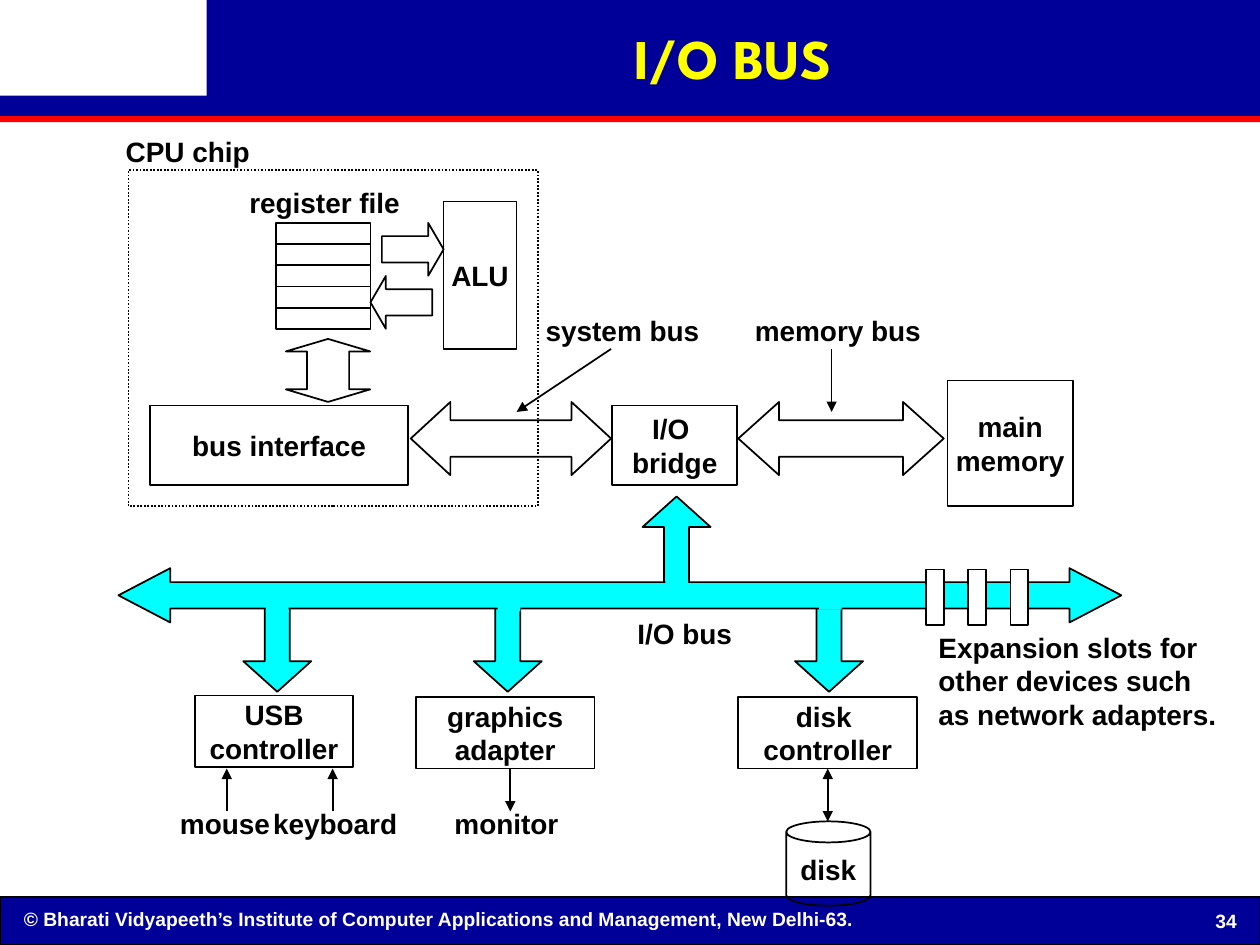
"""Build the I/O bus slide."""
from dataclasses import dataclass
from typing import Optional

import pptx
import pptx.dml.color
import pptx.enum.dml
import pptx.enum.shapes
import pptx.enum.text
import pptx.oxml
import pptx.oxml.ns
import pptx.util

Pt = pptx.util.Pt
Color = pptx.dml.color.RGBColor
Kind = pptx.enum.shapes.MSO_SHAPE
Align = pptx.enum.text.PP_ALIGN
Anchor = pptx.enum.text.MSO_ANCHOR

NAVY = Color(0x00, 0x00, 0x99)
RED = Color(0xFF, 0x00, 0x00)
CYAN = Color(0x00, 0xFF, 0xFF)
GOLD = Color(0xFF, 0xFF, 0x00)
WHITE = Color(0xFF, 0xFF, 0xFF)
BLACK = Color(0x00, 0x00, 0x00)

BODY = {"name": "Arial", "size": Pt(16), "bold": True}
SMALL = {**BODY, "size": Pt(11)}
HEAD = {"name": "League Spartan", "size": Pt(32), "bold": True}
FRAME = {"word_wrap": False, "vertical_anchor": Anchor.MIDDLE}
SLACK = 4


@dataclass
class Part:
    left: float
    top: float
    width: float
    height: float
    text: str = ""
    kind: Kind = Kind.RECTANGLE
    fill: Optional[Color] = None
    line: Optional[float] = 1
    adjust: Optional[dict] = None


@dataclass
class Wire:
    start: tuple
    end: tuple
    head: bool = False
    tail: bool = False


def assign(item, values: dict) -> None:
    for name, value in values.items():
        setattr(item, name, value)


def write(frame, text: str, font: dict, color: Color, align=Align.CENTER, form=FRAME) -> None:
    frame.text = text
    assign(frame, form)
    for para in frame.paragraphs:
        para.alignment = align
        assign(para.font, font)
        para.font.color.rgb = color


def draw(slide, part: Part):
    shape = slide.shapes.add_shape(
        part.kind, Pt(part.left), Pt(part.top), Pt(part.width), Pt(part.height))
    shape.shadow.inherit = False
    if part.fill is None:
        shape.fill.background()
    else:
        shape.fill.solid()
        shape.fill.fore_color.rgb = part.fill
    if part.line is None:
        shape.line.fill.background()
    else:
        shape.line.color.rgb = BLACK
        shape.line.width = Pt(part.line)
    if part.adjust:
        guides = [(name, round(value * 100000)) for name, value in part.adjust.items()]
        shape.element.spPr.prstGeom.rewrite_guides(guides)
    if part.text:
        write(shape.text_frame, part.text, BODY, BLACK)
    return shape


def label(slide, left: float, top: float, width: float, height: float, text: str,
          font=BODY, color=BLACK, align=Align.CENTER) -> None:
    shift = SLACK if align == Align.CENTER else 0
    box = slide.shapes.add_textbox(
        Pt(left - shift), Pt(top), Pt(width + 2 * SLACK), Pt(height))
    write(box.text_frame, text, font, color, align)


def link(slide, wire: Wire):
    line = slide.shapes.add_connector(
        pptx.enum.shapes.MSO_CONNECTOR.STRAIGHT, *map(Pt, wire.start + wire.end))
    line.line.color.rgb = BLACK
    line.line.width = Pt(1)
    stroke = line.line._get_or_add_ln()
    for tag, shown in (("headEnd", wire.head), ("tailEnd", wire.tail)):
        if shown:
            stroke.append(pptx.oxml.parse_xml(
                f'<a:{tag} {pptx.oxml.ns.nsdecls("a")} type="triangle"/>'))
    line.element.spPr.append(pptx.oxml.parse_xml(
        f'<a:effectLst {pptx.oxml.ns.nsdecls("a")}/>'))
    return line


def banner(slide) -> None:
    bars = (
        Part(0, 512.64, 720, 27.36, fill=NAVY, line=0.75),
        Part(0, 66.24, 720, 3.6, fill=RED, line=None),
        Part(118.08, 0, 601.92, 56, fill=NAVY, line=None),
        Part(0, 54.72, 720, 11.52, fill=NAVY, line=None),
    )
    for bar in bars:
        draw(slide, bar)
    label(slide, 6.5, 514.5, 661, 21,
          "© Bharati Vidyapeeth’s Institute of Computer Applications and Management, New Delhi-63.",
          SMALL, WHITE, Align.LEFT)
    label(slide, 682, 517.7, 37.4, 17.3, "34", SMALL, WHITE)
    title = slide.shapes.title
    spot = (120.24, 0, 597.6, 64.8)
    assign(title, dict(zip(("left", "top", "width", "height"), map(Pt, spot))))
    write(title.text_frame, "I/O BUS", HEAD, GOLD, form={**FRAME, "word_wrap": True})
    title.element.getparent().append(title.element)


def chip(slide) -> None:
    for row in range(5):
        draw(slide, Part(157.7, 127.4 + 12.1 * row, 54, 12.1))
    point = {"adj1": 0.5, "adj2": 0.292}
    parts = (
        Part(541.5, 217.4, 71.6, 72, "main\nmemory"),
        Part(421.9, 229.7, 117.4, 41.8, kind=Kind.LEFT_RIGHT_ARROW,
             adjust={"adj1": 0.5, "adj2": 0.557}),
        Part(349.9, 231.8, 71.3, 45.4, "I/O \nbridge"),
        Part(234.7, 229.7, 114.5, 41.8, kind=Kind.LEFT_RIGHT_ARROW,
             adjust={"adj1": 0.5, "adj2": 0.542}),
        Part(85.7, 231.8, 147.6, 45.4, "bus interface"),
        Part(218.2, 127.4, 35.3, 30.2, kind=Kind.RIGHT_ARROW, adjust=point),
        Part(211.7, 157.7, 35.3, 30.2, kind=Kind.LEFT_ARROW, adjust=point),
        Part(253.4, 115.2, 41.8, 84.2, "ALU"),
        Part(163.4, 193.7, 48.2, 36, kind=Kind.UP_DOWN_ARROW,
             adjust={"adj1": 0.5, "adj2": 0.199}),
    )
    for part in parts:
        draw(slide, part)
    case = draw(slide, Part(73.4, 97.2, 234, 192.2))
    case.line.dash_style = pptx.enum.dml.MSO_LINE.ROUND_DOT


def bus(slide) -> dict:
    units = {}
    stem = {"adj1": 0.367, "adj2": 0.449}
    draw(slide, Part(367.2, 283.7, 38.9, 54, kind=Kind.UP_ARROW, fill=CYAN, adjust=stem))
    for left in (454.3, 270.7, 139):
        draw(slide, Part(left, 341.3, 38.9, 54, kind=Kind.DOWN_ARROW, fill=CYAN, adjust=stem))
    for name, left, top, width, text in (
            ("disk", 421.9, 398.2, 102.2, "disk \ncontroller"),
            ("screen", 237.6, 398.2, 102.2, "graphics\nadapter"),
            ("port", 111.6, 397.4, 90, "USB\ncontroller")):
        units[name] = draw(slide, Part(left, top, width, 41, text))
    draw(slide, Part(449.3, 469.4, 48.2, 48.2, "disk", Kind.CAN, adjust={"adj": 0.25}))
    draw(slide, Part(67.7, 324.7, 573.1, 31, kind=Kind.LEFT_RIGHT_ARROW,
                     fill=CYAN, adjust={"adj1": 0.486, "adj2": 0.956}))
    for left, top in ((151.9, 337.7), (284.4, 337), (468, 336.2), (380.2, 331.2)):
        draw(slide, Part(left, top, 13, 12.2, fill=CYAN, line=None))
    for slot in range(3):
        draw(slide, Part(529.2 + 24.1 * slot, 325.4, 10.1, 31.7, fill=WHITE))
    return units


def main() -> None:
    deck = pptx.Presentation()
    deck.slide_width, deck.slide_height = Pt(720), Pt(540)
    slide = deck.slides.add_slide(deck.slide_layouts[5])
    banner(slide)
    chip(slide)
    units = bus(slide)

    for left, top, width, text in (
            (135.4, 102.2, 100.1, "register file"),
            (64.8, 73.4, 85, "CPU chip"),
            (304.6, 175.7, 102.2, "system bus"),
            (424.1, 175.7, 109.4, "memory bus"),
            (95.8, 457.2, 65.5, "mouse"),
            (149, 457.2, 85, "keyboard"),
            (252.7, 457.2, 73.4, "monitor"),
            (357.1, 348.5, 68.4, "I/O bus")):
        label(slide, left, top, width, 26.6, text)
    label(slide, 529.2, 356.5, 172.8, 65,
          "Expansion slots for\nother devices such\nas network adapters.", align=Align.LEFT)

    for wire in (
            Wire((349.2, 199.4), (295.2, 235.4), tail=True),
            Wire((475.2, 199.4), (475.2, 235.4), tail=True),
            Wire((129.6, 439.2), (129.6, 463.7), head=True),
            Wire((190.1, 439.2), (190.1, 463.7), head=True),
            Wire((291.6, 439.2), (291.6, 463.7), tail=True)):
        link(slide, wire)
    cable = link(slide, Wire((473, 439.2), (473, 469.4), head=True, tail=True))
    cable.begin_connect(units["disk"], 2)
    deck.save("out.pptx")


if __name__ == "__main__":
    main()
